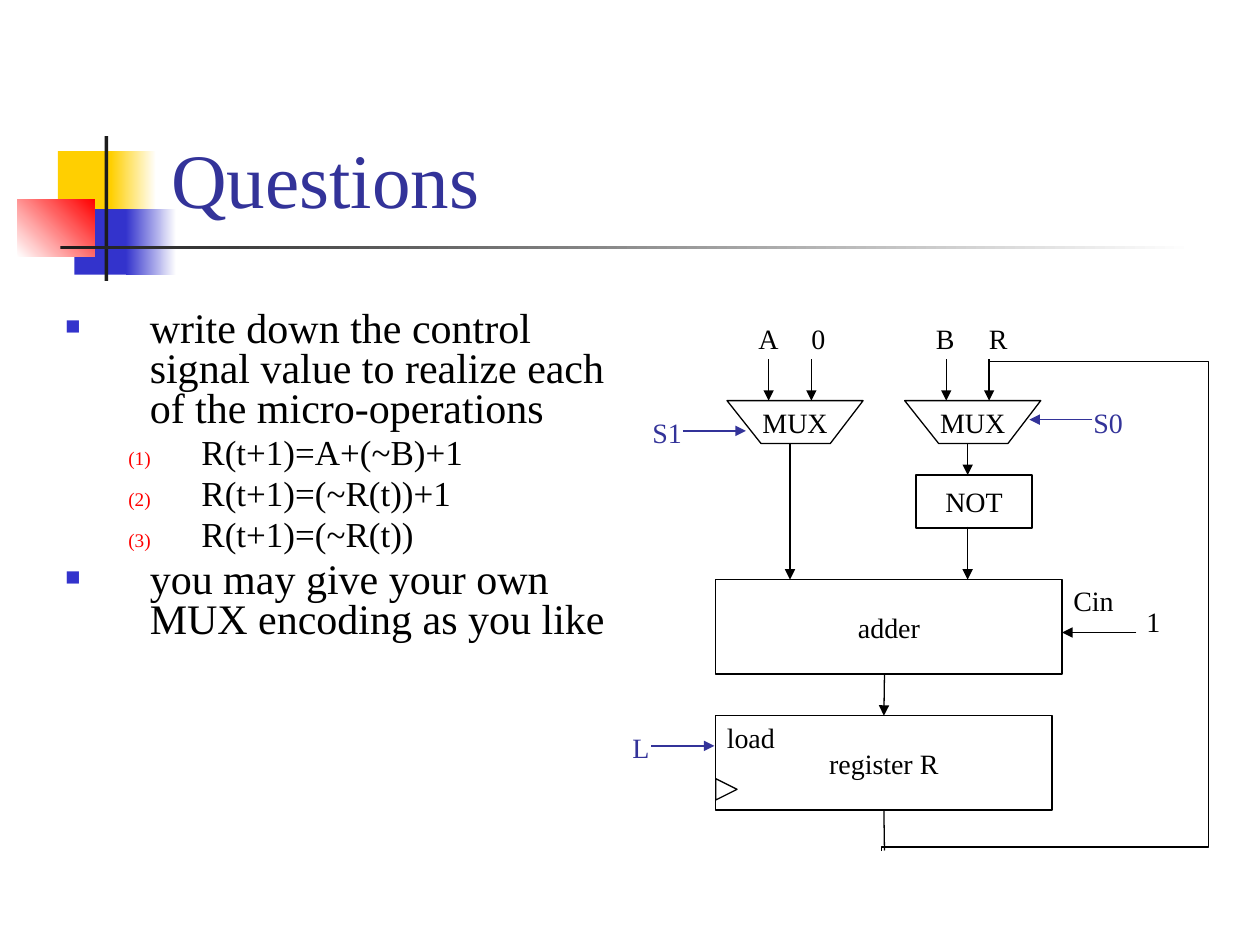
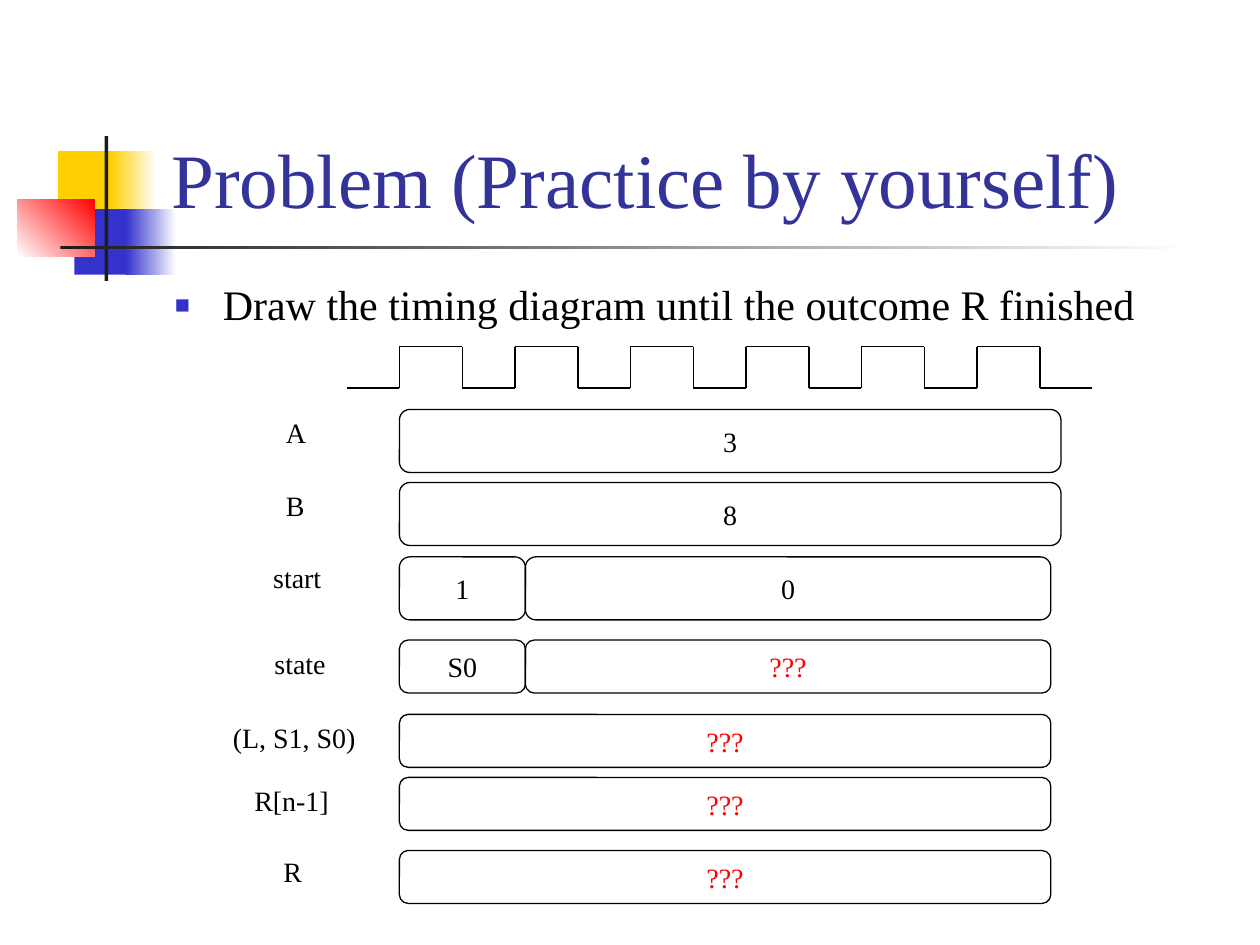
"""Build two digital-logic exercise slides: a datapath question and a timing problem."""
import itertools
from dataclasses import dataclass

import pptx
import pptx.dml.color
import pptx.enum.shapes
import pptx.enum.text
import pptx.oxml
import pptx.oxml.ns
import pptx.util
from pptx.util import Inches

RGB = pptx.dml.color.RGBColor.from_string
SHAPE = pptx.enum.shapes.MSO_SHAPE
CONNECTOR = pptx.enum.shapes.MSO_CONNECTOR
ALIGN = pptx.enum.text.PP_ALIGN
ANCHOR = pptx.enum.text.MSO_ANCHOR
AUTO_SIZE = pptx.enum.text.MSO_AUTO_SIZE
qn = pptx.oxml.ns.qn


@dataclass(frozen=True)
class Theme:
    font: str = "Times New Roman"
    black: str = "000000"
    white: str = "FFFFFF"
    navy: str = "333399"
    blue: str = "3333CC"
    red: str = "FF0000"
    yellow: str = "FFCF01"
    dark: str = "1C1C1C"
    title: int = 44
    body: int = 24
    item: int = 20
    label: int = 16
    line: float = 0.75


THEME = Theme()


def write(p, text, size=THEME.label, color=THEME.black, align=ALIGN.LEFT):
    p.alignment = align
    r = p.add_run()
    r.text = text
    r.font.name = THEME.font
    r.font.size = pptx.util.Pt(size)
    r.font.color.rgb = RGB(color)


def add_xml(parent, tag, **attributes):
    child = parent.makeelement(qn(tag), attributes)
    parent.append(child)
    return child


class Deck:
    def __init__(self, theme):
        self.theme = theme
        self.prs = pptx.Presentation()
        self.prs.slide_width = Inches(10)
        self.prs.slide_height = Inches(7.5)
        self.s = None

    def slide(self, title):
        t = self.theme
        self.s = self.prs.slides.add_slide(self.prs.slide_layouts[5])
        self.band(0.46, 1.2, 0.48, 0.52, t.yellow)
        self.band(0.88, 1.2, 0.36, 0.52, t.yellow, t.white)
        self.band(0.59, 1.66, 0.46, 0.52, t.blue)
        self.band(1, 1.66, 0.4, 0.52, t.blue, t.white)
        self.band(0.14, 1.58, 0.61, 0.46, t.white, t.red, 45)
        self.band(0.83, 1.08, 0.03, 1.15, t.dark)
        self.band(0.48, 1.95, 9, 0.03, t.dark, t.white)
        sp = self.s.shapes.title
        sp.left, sp.top = Inches(1.26), Inches(0.23)
        sp.width, sp.height = Inches(8.52), Inches(1.6)
        tf = sp.text_frame
        tf.word_wrap = True
        tf.auto_size = AUTO_SIZE.NONE
        tf.vertical_anchor = ANCHOR.BOTTOM
        write(tf.paragraphs[0], title, size=t.title, color=t.navy)

    def band(self, x, y, w, h, color, end=None, angle=0):
        sp = self.s.shapes.add_shape(SHAPE.RECTANGLE, Inches(x), Inches(y), Inches(w), Inches(h))
        sp.shadow.inherit = False
        sp.line.fill.background()
        if end is None:
            sp.fill.solid()
            sp.fill.fore_color.rgb = RGB(color)
            return
        sp.fill.gradient()
        sp.fill.gradient_angle = angle
        for stop, stop_color in zip(sp.fill.gradient_stops, (color, end)):
            stop.color.rgb = RGB(stop_color)

    def outline(self, sp, text="", color=THEME.black):
        sp.shadow.inherit = False
        sp.fill.background()
        sp.line.color.rgb = RGB(self.theme.black)
        sp.line.width = pptx.util.Pt(self.theme.line)
        if text:
            tf = sp.text_frame
            tf.word_wrap = False
            tf.vertical_anchor = ANCHOR.MIDDLE
            write(tf.paragraphs[0], text, color=color, align=ALIGN.CENTER)
        return sp

    def box(self, x, y, w, h, text="", color=THEME.black, kind=SHAPE.RECTANGLE):
        sp = self.s.shapes.add_shape(kind, Inches(x), Inches(y), Inches(w), Inches(h))
        return self.outline(sp, text, color)

    def polygon(self, points, text):
        corners = [(Inches(x), Inches(y)) for x, y in points]
        builder = self.s.shapes.build_freeform(*corners[0])
        builder.add_line_segments(corners[1:], close=True)
        return self.outline(builder.convert_to_shape(), text)

    def label(self, text, x, y, w, color=THEME.black):
        tf = self.s.shapes.add_textbox(Inches(x), Inches(y), Inches(w), Inches(0.37)).text_frame
        tf.word_wrap = False
        tf.auto_size = AUTO_SIZE.SHAPE_TO_FIT_TEXT
        write(tf.paragraphs[0], text, color=color)

    def line(self, start, end, color=THEME.black, arrow=False, kind=CONNECTOR.STRAIGHT):
        x1, y1, x2, y2 = (Inches(v) for v in (*start, *end))
        cxn = self.s.shapes.add_connector(kind, x1, y1, x2, y2)
        cxn.line.color.rgb = RGB(color)
        cxn.line.width = pptx.util.Pt(self.theme.line)
        properties = cxn.element.spPr
        if arrow:
            add_xml(properties.find(qn("a:ln")), "a:tailEnd", type="triangle")
        add_xml(properties, "a:effectLst")
        return cxn

    def arrow(self, start, end, color=THEME.black):
        return self.line(start, end, color, arrow=True)

    def loop(self, start, end, adjustments):
        cxn = self.line(start, end, kind=CONNECTOR.ELBOW)
        properties = cxn.element.spPr
        properties.find(qn("a:xfrm")).set("rot", str(270 * 60000))
        geometry = properties.find(qn("a:prstGeom"))
        geometry.set("prst", "bentConnector5")
        for guide in geometry.findall(qn("a:avLst")):
            geometry.remove(guide)
        guides = add_xml(geometry, "a:avLst")
        for i, value in enumerate(adjustments, 1):
            add_xml(guides, "a:gd", name=f"adj{i}", fmla=f"val {value}")

    def body(self, x, y, w, h, paragraphs, indent, spacing):
        t = self.theme
        tf = self.s.shapes.add_textbox(Inches(x), Inches(y), Inches(w), Inches(h)).text_frame
        tf.word_wrap = True
        for i, (text, numbered) in enumerate(paragraphs):
            p = tf.add_paragraph() if i else tf.paragraphs[0]
            size = t.item if numbered else t.body
            left, hang = (1.08, 0.58) if numbered else (indent, indent)
            p.level = int(numbered)
            p.line_spacing = spacing
            p.space_before = pptx.util.Pt(0.2 * size)
            write(p, text, size=size)
            pPr = p._p.get_or_add_pPr()
            pPr.set("marL", str(Inches(left)))
            pPr.set("indent", str(-Inches(hang)))
            color = add_xml(pPr, "a:buClr")
            add_xml(color, "a:srgbClr", val=t.red if numbered else t.blue)
            add_xml(pPr, "a:buSzPct", val="55000" if numbered else "60000")
            add_xml(pPr, "a:buFont", typeface=t.font)
            if numbered:
                add_xml(pPr, "a:buAutoNum", type="arabicParenBoth")
            else:
                add_xml(pPr, "a:buChar", char="■")


def mux(deck, x, inputs):
    top, bottom = 3.18, 3.52
    deck.polygon([(x, top), (x + 0.27, bottom), (x + 0.82, bottom), (x + 1.08, top)], "MUX")
    for (text, width), offset in zip(inputs, (0.33, 0.67)):
        deck.arrow((x + offset, 2.85), (x + offset, top))
        deck.label(text, x + offset - (0.18 if offset < 0.5 else 0.1), 2.5, width)


def questions(deck):
    deck.slide("Questions")
    deck.body(0.42, 2.42, 4.58, 2.83, [
        ("write down the control signal value to realize each of the micro-operations", False),
        ("R(t+1)=A+(~B)+1", True),
        ("R(t+1)=(~R(t))+1", True),
        ("R(t+1)=(~R(t))", True),
        ("you may give your own MUX encoding as you like", False),
    ], indent=0.67, spacing=0.8)

    mux(deck, 5.77, [("A", 0.36), ("0", 0.31)])
    mux(deck, 7.18, [("B", 0.35), ("R", 0.35)])
    deck.box(7.27, 3.77, 0.92, 0.42, "NOT")
    deck.box(5.68, 4.6, 2.75, 0.75, "adder")
    register = deck.box(5.68, 5.68, 2.67, 0.75, "register R")
    clock = deck.box(5.68, 6.18, 0.17, 0.17, kind=SHAPE.ISOSCELES_TRIANGLE)
    clock.rotation = 90

    deck.arrow((6.27, 3.52), (6.27, 4.6))
    deck.arrow((7.68, 3.52), (7.68, 3.77))
    deck.arrow((7.68, 4.18), (7.68, 4.6))
    deck.arrow((9.02, 5.02), (8.43, 5.02))
    deck.arrow((7.02, 5.35), (7.02, 5.68)).end_connect(register, 0)
    deck.line((7.02, 6.43), (7.02, 6.75)).begin_connect(register, 2)
    deck.loop((9.37, 5.23), (5.47, 4.38), (400, -205500, 99200))

    deck.label("Cin", 8.42, 4.58, 0.52)
    deck.label("1", 9, 4.75, 0.31)
    deck.label("load", 5.67, 5.67, 0.59)
    for text, x, y, w, start, end, level in [
        ("L", 4.92, 5.75, 0.34, 5.17, 5.67, 5.92),
        ("S1", 5.08, 3.25, 0.44, 5.42, 5.92, 3.42),
        ("S0", 8.58, 3.17, 0.44, 8.67, 8.17, 3.33),
    ]:
        deck.arrow((start, level), (end, level), THEME.navy)
        deck.label(text, x, y, w, THEME.navy)


def clock_wave(deck, left, cycles):
    low, high, period = 3.08, 2.75, 11 / 12
    points = [(left - 0.42, low)]
    for i in range(cycles):
        rise = left + i * period
        fall = rise + 0.5
        points += [(rise, low), (rise, high), (fall, high), (fall, low)]
    points.append((left + cycles * period, low))
    for start, end in itertools.pairwise(points):
        deck.line(start, end)


def problem(deck):
    deck.slide("Problem (Practice by yourself)")
    deck.body(1.29, 2.21, 8.5, 0.54,
              [("Draw the timing diagram until the outcome R finished", False)],
              indent=0.38, spacing=0.9)
    left = 3.17
    clock_wave(deck, left, 6)
    signals = [
        ("A", 2.17, 3.25, 0.36, 3.25, 0.5, [("3", 5.25)]),
        ("B", 2.17, 3.83, 0.35, 3.83, 0.5, [("8", 5.25)]),
        ("start", 2.07, 4.4, 0.59, 4.42, 0.5, [("1", 1), ("0", 4.17)]),
        ("state", 2.08, 5.08, 0.61, 5.08, 0.42, [("S0", 1), ("???", 4.17)]),
        ("(L, S1, S0)", 1.75, 5.67, 1.18, 5.67, 0.42, [("???", 5.17)]),
        ("R[n-1]", 1.92, 6.17, 0.8, 6.17, 0.42, [("???", 5.17)]),
        ("R", 2.15, 6.73, 0.35, 6.75, 0.42, [("???", 5.17)]),
    ]
    for name, name_x, name_y, name_w, top, height, values in signals:
        deck.label(name, name_x, name_y, name_w)
        x = left
        for value, width in values:
            color = THEME.red if value == "???" else THEME.black
            deck.box(x, top, width, height, value, color, SHAPE.ROUNDED_RECTANGLE)
            x += width


def main():
    deck = Deck(THEME)
    questions(deck)
    problem(deck)
    deck.prs.save("out.pptx")


if __name__ == "__main__":
    main()
